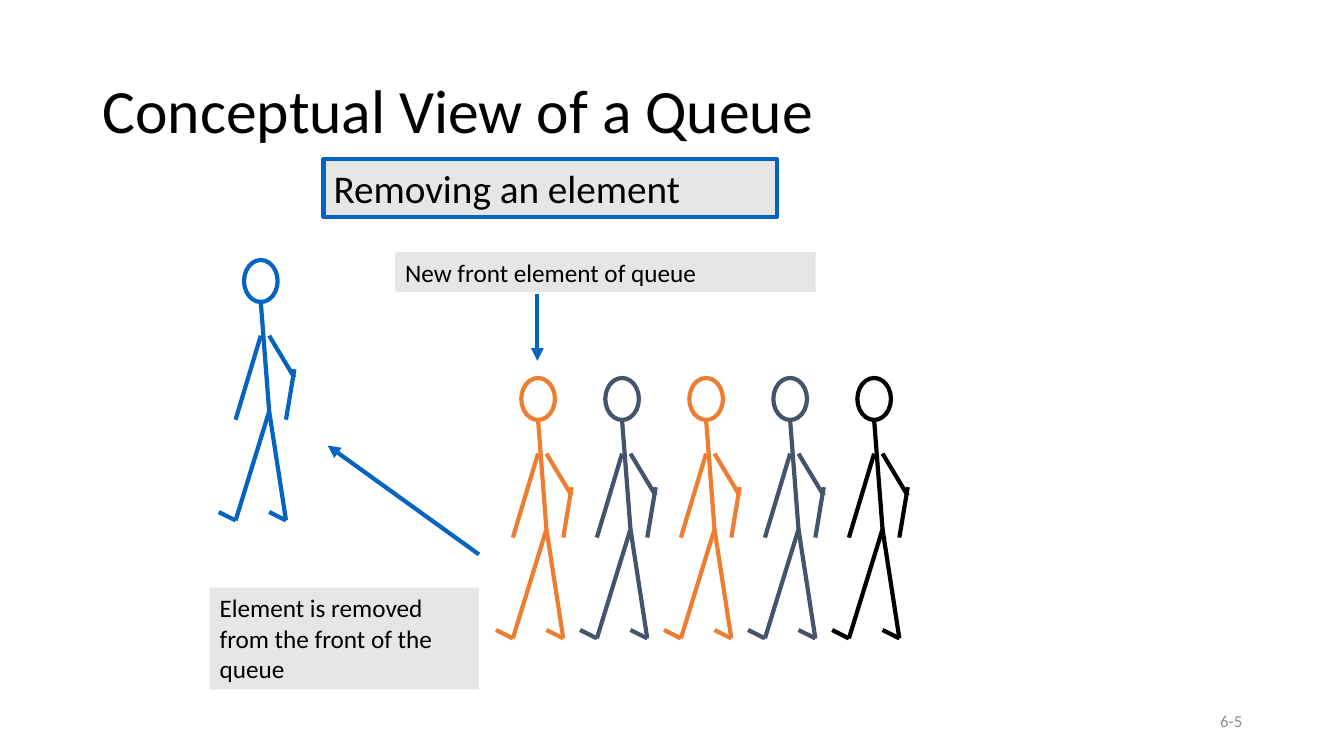
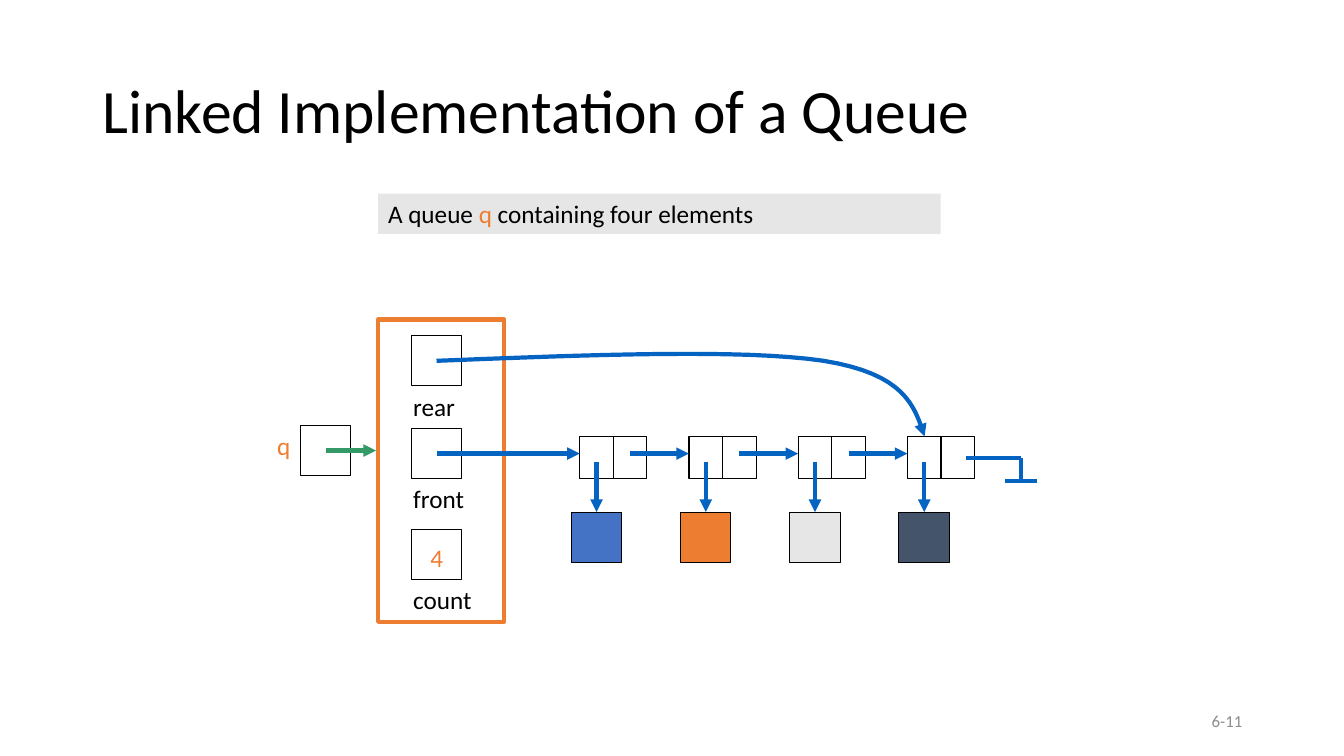
from lxml.etree import SubElement
from pptx import Presentation
from pptx.dml.color import RGBColor
from pptx.enum.shapes import MSO_CONNECTOR as Link, MSO_SHAPE as Form
from pptx.enum.text import MSO_ANCHOR as Anchor, PP_ALIGN as Align
from pptx.oxml.ns import qn
from pptx.util import Inches, Pt

BLACK = RGBColor(0x00, 0x00, 0x00)
BLUE = RGBColor(0x05, 0x63, 0xC1)
ROYAL = RGBColor(0x44, 0x72, 0xC4)
ORANGE = RGBColor(0xED, 0x7D, 0x31)
SLATE = RGBColor(0x44, 0x54, 0x6A)
GREEN = RGBColor(0x33, 0x99, 0x66)
PALE = RGBColor(0xE7, 0xE6, 0xE6)
GRAY = RGBColor(0x8C, 0x8C, 0x8C)
UNIT = 1 / 12


def box(slide, area, runs=(), size=18, fill=None, edge=None, width=0.75,
        form=Form.RECTANGLE, anchor=Anchor.TOP, align=Align.LEFT, space=1.0):
    place = [Inches(n) for n in area]
    if fill is None and edge is None:
        shape = slide.shapes.add_textbox(*place)
    else:
        shape = slide.shapes.add_shape(form, *place)
        shape.shadow.inherit = False
        if fill is None:
            shape.fill.background()
        else:
            shape.fill.solid()
            shape.fill.fore_color.rgb = fill
        if edge is None:
            shape.line.fill.background()
        else:
            shape.line.color.rgb = edge
            shape.line.width = Pt(width)
    if runs:
        frame = shape.text_frame
        para = frame.paragraphs[0]
        for name, value in {"word_wrap": True, "vertical_anchor": anchor}.items():
            setattr(frame, name, value)
        for name, value in {"alignment": align, "line_spacing": space}.items():
            setattr(para, name, value)
        for text, color in runs:
            run = para.add_run()
            run.text = text
            run.font.color.rgb = color
            for name, value in {"name": "Calibri", "size": Pt(size)}.items():
                setattr(run.font, name, value)
    return shape


def draw(slide, points, color=BLUE, arrow=False):
    spots = [(Inches(x), Inches(y)) for x, y in points]
    if len(spots) == 2:
        shape = slide.shapes.add_connector(Link.STRAIGHT, *spots[0], *spots[1])
    else:
        trace = slide.shapes.build_freeform(*spots[0])
        trace.add_line_segments(spots[1:], close=False)
        shape = trace.convert_to_shape()
        shape.fill.background()
    shape.line.color.rgb = color
    shape.line.width = Pt(3)
    props = shape.element.spPr
    if arrow:
        SubElement(props.find(qn("a:ln")), qn("a:tailEnd"), type="triangle")
    SubElement(props, qn("a:effectLst"))
    return shape


deck = Presentation()
deck.slide_width, deck.slide_height = Inches(13.33), Inches(7.5)
slides = []
for title, page in [("Conceptual View of a Queue", "6-5"),
                    ("Linked Implementation of a Queue", "6-11")]:
    slide = deck.slides.add_slide(deck.slide_layouts[6])
    box(slide, (9.42, 6.95, 3, 0.4), [(page, GRAY)], 12,
        anchor=Anchor.MIDDLE, align=Align.RIGHT)
    box(slide, (0.92, 0.4, 11.5, 1.45), [(title, BLACK)], 44,
        anchor=Anchor.MIDDLE, space=0.9)
    slides.append(slide)
view, chain = slides

LIMBS = [((2, 5), (3, 18)), ((3, 18), (-1, 31)), ((3, 18), (5, 31)),
         ((-1, 31), (-3, 30)), ((5, 31), (3, 30)), ((2, 9), (-1, 19)),
         ((3, 9), (6, 14)), ((6, 13), (5, 19))]
people = [(2.42, 2.58, BLUE)]
for i, color in enumerate([ORANGE, SLATE, ORANGE, SLATE, BLACK]):
    people.append((5.17 + i * 10 * UNIT, 3.75, color))
for left, top, color in people:
    box(view, (left, top, 4 * UNIT, 5 * UNIT), edge=color, width=3, form=Form.OVAL)
    for limb in LIMBS:
        draw(view, [(left + x * UNIT, top + y * UNIT) for x, y in limb], color)

box(view, (3.21, 1.58, 4.5, 0.57), [("Removing an element", BLACK)], 28,
    fill=PALE, edge=BLUE, width=3)
for area, text in [((3.92, 2.5, 4.17, 0.4), "New front element of queue"),
                   ((2.08, 5.83, 2.67, 1.01),
                    "Element is removed from the front of the queue")]:
    box(view, area, [(text, BLACK)], fill=PALE)
draw(view, [(4.75, 5.5), (3.25, 4.42)], arrow=True)
draw(view, [(5.33, 2.92), (5.33, 3.58)], arrow=True)

box(chain, (3.75, 1.92, 5.58, 0.4),
    [("A queue ", BLACK), ("q", ORANGE), (" containing four elements", BLACK)],
    fill=PALE)
box(chain, (3.75, 3.17, 1.25, 3), edge=ORANGE, width=3)
for top, name in [(3.33, "rear"), (4.25, "front"), (5.25, "count")]:
    box(chain, (4.08, top, 0.5, 0.5), edge=BLACK)
    box(chain, (4, top + 0.5, 0.92, 0.4), [(name, BLACK)])
box(chain, (4.17, 5.33, 0.39, 0.4), [("4", ORANGE)])
box(chain, (2.65, 4.22, 0.5, 0.4), [("q", ORANGE)])
box(chain, (2.98, 4.22, 0.5, 0.5), edge=BLACK)
draw(chain, [(3.23, 4.47), (3.73, 4.47)], GREEN, True)

start = 4.33
for i, color in enumerate([ROYAL, ORANGE, PALE, SLATE]):
    left = 5.75 + i * 13 * UNIT
    item = box(chain, (left - UNIT, 5.08, 0.5, 0.5), fill=color, edge=BLACK)
    for x in (left, left + 4 * UNIT):
        box(chain, (x, 4.33, 4 * UNIT, 5 * UNIT), edge=BLACK)
    mid = left + 2 * UNIT
    draw(chain, [(mid, 4.58), (mid, 5.08)], arrow=True).end_connect(item, 0)
    draw(chain, [(start, 4.5), (left, 4.5)], arrow=True)
    start = left + 6 * UNIT

curve = [(4.33, 3.58)]
for bend in [[(4.33, 3.58), (5.85, 3.52), (7.36, 3.46), (8.17, 3.58)],
             [(8.17, 3.58), (8.97, 3.71), (9.07, 4.02), (9.17, 4.33)]]:
    for step in range(1, 17):
        t = step / 16
        parts = [(1 - t) ** 3, 3 * t * (1 - t) ** 2, 3 * t * t * (1 - t), t ** 3]
        curve.append([sum(k * p[axis] for k, p in zip(parts, bend))
                      for axis in (0, 1)])
draw(chain, curve, arrow=True)

for ends in [[(9.58, 4.54), (10.13, 4.54)], [(10.13, 4.54), (10.13, 4.77)],
             [(9.97, 4.77), (10.29, 4.77)]]:
    draw(chain, ends)

deck.save("out.pptx")
